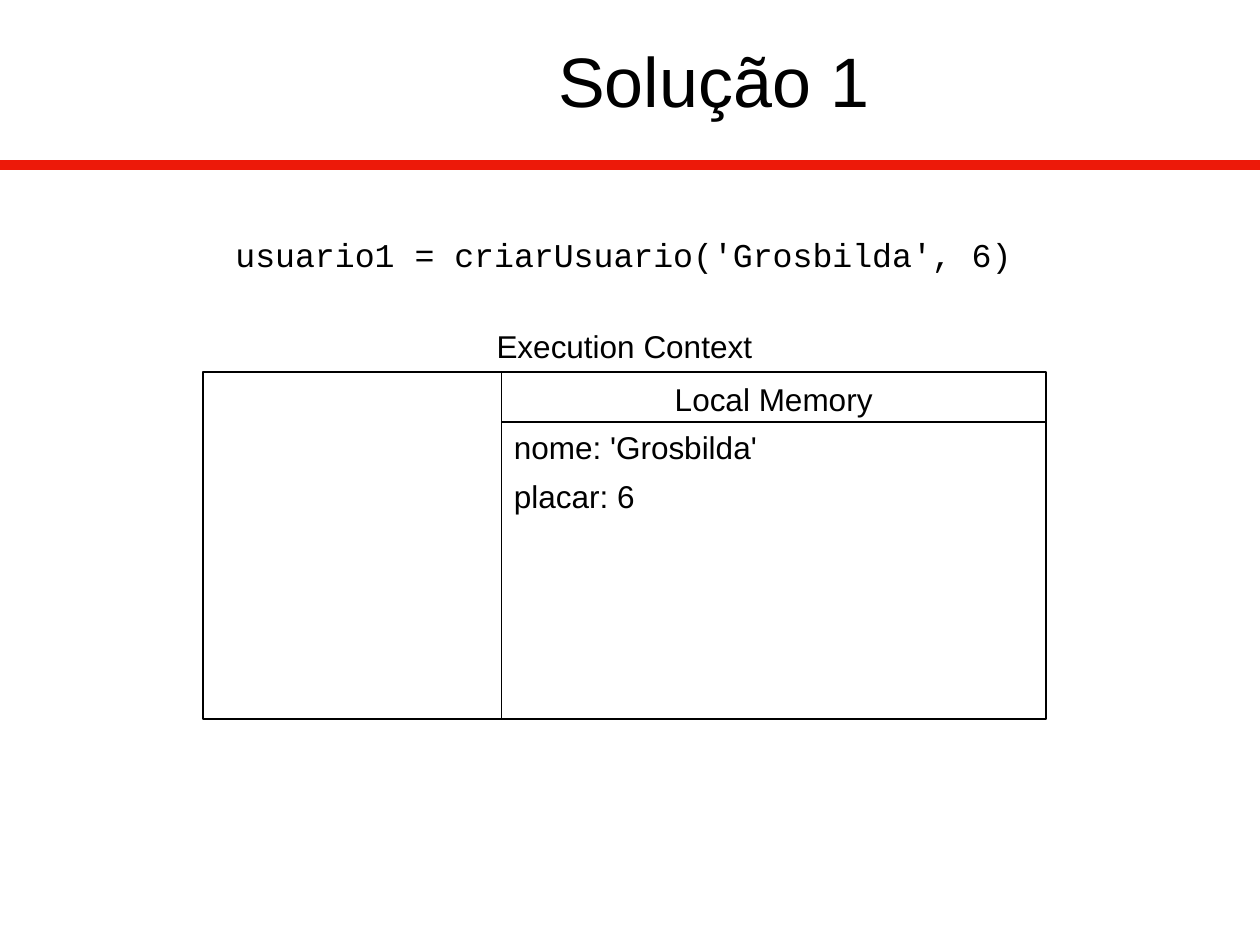
"""Build the slide that shows the execution context of criarUsuario."""
from lxml.etree import SubElement
from pptx import Presentation
from pptx.dml.color import RGBColor as Rgb
from pptx.enum.shapes import MSO_CONNECTOR as Link, MSO_SHAPE as Form
from pptx.enum.text import MSO_ANCHOR as Anchor, PP_ALIGN as Align
from pptx.oxml.ns import qn
from pptx.util import Inches, Pt

THEME = {
    "ink": Rgb.from_string("000000"),
    "red": Rgb.from_string("ED1909"),
    "sans": "Arial",
    "mono": "Courier New",
    "title": Pt(40),
    "code": Pt(19),
    "body": Pt(18),
    "thin": Pt(1),
    "bar": Pt(6),
}

LEFT, SPLIT, RIGHT = 1.61, 3.98, 8.3
TOP, END, ROW = 2.95, 5.71, 0.4
WIDE, SIDE, HALF = RIGHT - LEFT, RIGHT - SPLIT, 2.36

deck = Presentation()
deck.slide_width, deck.slide_height = Inches(10), Inches(7.5)
slide = deck.slides.add_slide(deck.slide_layouts[5])
shapes = slide.shapes


def write(box, text, size, face="sans", align=Align.LEFT, anchor=Anchor.TOP):
    frame = box.text_frame
    frame.text = text
    frame.word_wrap = True
    frame.vertical_anchor = anchor
    line = frame.paragraphs[0]
    line.alignment = align
    style = {"size": THEME[size], "name": THEME[face]}
    for key, value in style.items():
        setattr(line.font, key, value)
    line.font.color.rgb = THEME["ink"]


def rule(x1, y1, x2, y2, color="ink", width="thin"):
    line = shapes.add_connector(Link.STRAIGHT, *map(Inches, (x1, y1, x2, y2)))
    line.line.color.rgb = THEME[color]
    line.line.width = THEME[width]
    SubElement(line._element.spPr, qn("a:effectLst"))


rule(0, 1.31, 10, 1.31, "red", "bar")

title = shapes.title
place = {"left": 1.53, "top": -0.09, "width": 8.27, "height": 1.44}
for key, value in place.items():
    setattr(title, key, Inches(value))
write(title, "Solução 1", "title", align=Align.CENTER, anchor=Anchor.MIDDLE)

rule(SPLIT, TOP, SPLIT, END)
rule(SPLIT, TOP + ROW, RIGHT, TOP + ROW)

labels = [
    ("Execution Context", LEFT, TOP - ROW, WIDE, "body", "sans", Align.CENTER),
    ("Local Memory", SPLIT, TOP + 0.02, SIDE, "body", "sans", Align.CENTER),
    ("nome: 'Grosbilda'", SPLIT, TOP + ROW, HALF, "body", "sans", Align.LEFT),
    ("placar: 6", SPLIT, TOP + 2 * ROW - 0.01, HALF, "body", "sans", Align.LEFT),
    ("usuario1 = criarUsuario('Grosbilda', 6)", 1.77, 1.81, 7.09, "code", "mono", Align.LEFT),
]
for text, x, y, width, size, face, align in labels:
    box = shapes.add_textbox(*map(Inches, (x, y, width, ROW)))
    write(box, text, size, face, align)

frame = shapes.add_shape(Form.RECTANGLE, *map(Inches, (LEFT, TOP, WIDE, END - TOP)))
frame.shadow.inherit = False
frame.fill.background()
frame.line.color.rgb = THEME["ink"]
frame.line.width = THEME["thin"]

deck.save("out.pptx")
